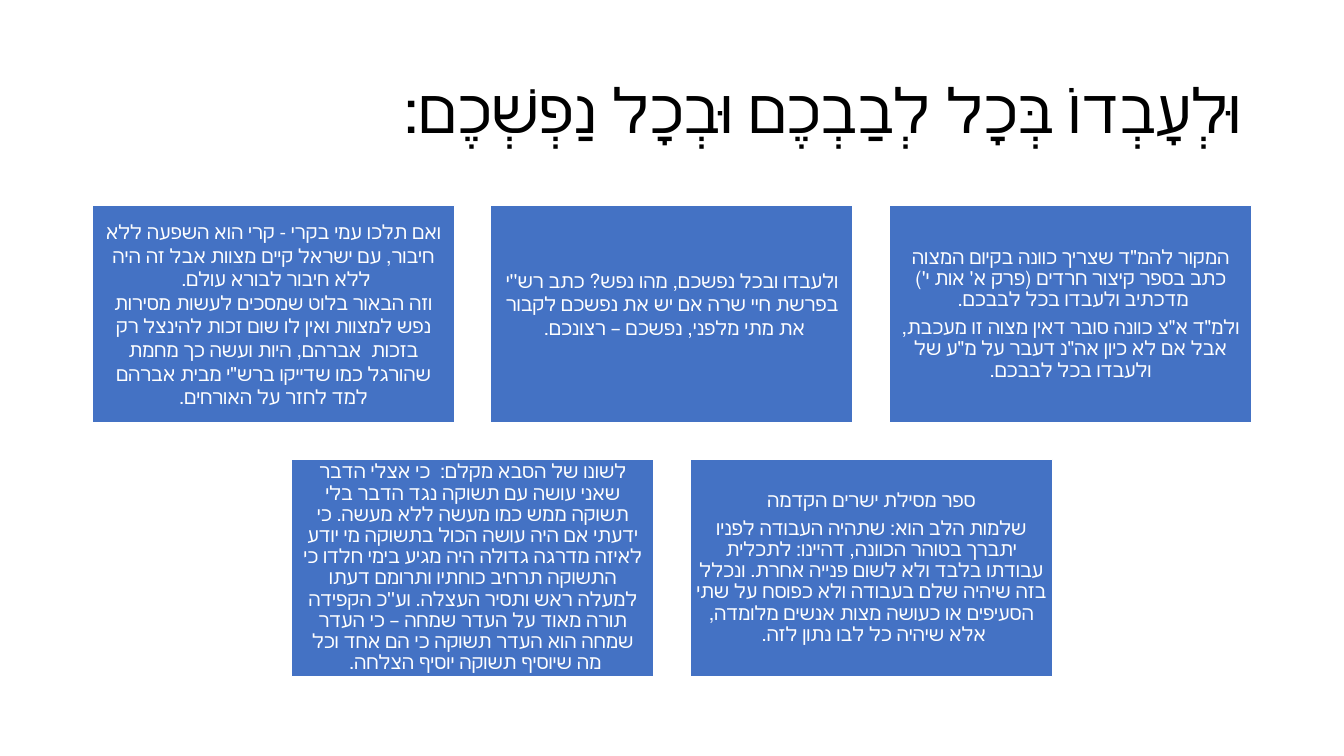
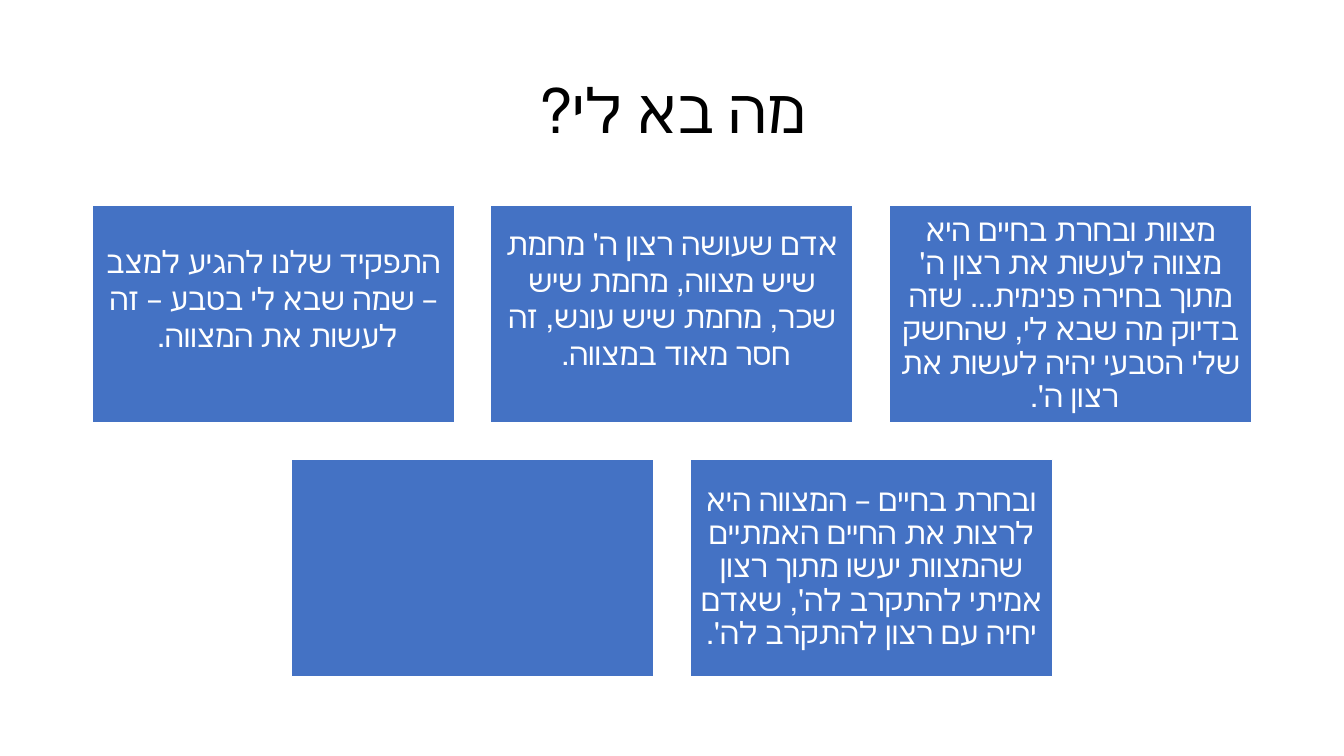
from dataclasses import dataclass

from pptx import Presentation
from pptx import util as u
from pptx.dml.color import RGBColor
from pptx.enum import shapes, text

# Shared look
COLORS = {"title": "000000", "card": "4472C4", "on_card": "FFFFFF"}
FONT = "Calibri"
TIGHT = 0.9
SLIDE_W, SLIDE_H = 13.33, 7.5

# Card grid: gaps are a tenth of a card's width
CONTENT_W = 11.5
MARGIN = (SLIDE_W - CONTENT_W) / 2
COLUMNS = 3
CARD_W = CONTENT_W / (COLUMNS + (COLUMNS - 1) * 0.1)
CARD_H = CARD_W * 0.6
GAP = CARD_W * 0.1
GRID_TOP = 2.04


@dataclass
class Card:
    paragraphs: tuple = ()
    tight: bool = True    # narrow lines, with space after each paragraph
    raised: bool = False  # text sits half a line above the middle


def rgb(name):
    return RGBColor.from_string(COLORS[name])


def format_hebrew(paragraph, size, color, align):
    paragraph.alignment = align
    paragraph._p.get_or_add_pPr().set("rtl", "1")
    for run in paragraph.runs:
        run.font.name = FONT
        run.font.size = u.Pt(size)
        run.font.color.rgb = rgb(color)


def add_title(slide, wording, align):
    title = slide.shapes.title
    title.left, title.top = u.Inches(MARGIN), u.Inches(0.4)
    title.width, title.height = u.Inches(CONTENT_W), u.Inches(1.45)
    frame = title.text_frame
    frame.text = wording
    frame.vertical_anchor = text.MSO_ANCHOR.MIDDLE
    paragraph = frame.paragraphs[0]
    paragraph.line_spacing = TIGHT
    format_hebrew(paragraph, 44, "title", align)


def add_card(slide, card, left, top, size, inset):
    box = slide.shapes.add_shape(
        shapes.MSO_SHAPE.RECTANGLE,
        *(u.Inches(length) for length in (left, top, CARD_W, CARD_H)))
    box.shadow.inherit = False
    box.fill.solid()
    box.fill.fore_color.rgb = rgb("card")
    box.line.color.rgb = rgb("on_card")
    box.line.width = u.Pt(1)
    if not card.paragraphs:
        return

    frame = box.text_frame
    frame.word_wrap = True
    frame.vertical_anchor = text.MSO_ANCHOR.MIDDLE
    frame.margin_left = frame.margin_right = frame.margin_top = u.Inches(inset)
    spare_line = size * 1.05 / 72 if card.raised else 0
    frame.margin_bottom = u.Inches(inset + spare_line)
    frame.text = "\n".join(card.paragraphs)
    for paragraph in frame.paragraphs:
        if card.tight:
            paragraph.line_spacing = TIGHT
            paragraph.space_after = u.Pt(size * 0.35)
        format_hebrew(paragraph, size, "on_card", text.PP_ALIGN.CENTER)


def add_cards(slide, cards, size, inset):
    """Fill rows from right to left; a short row is centred."""
    for start in range(0, len(cards), COLUMNS):
        row = cards[start:start + COLUMNS]
        row_w = len(row) * (CARD_W + GAP) - GAP
        right = MARGIN + (CONTENT_W + row_w) / 2
        top = GRID_TOP + start // COLUMNS * (CARD_H + GAP)
        for column, card in enumerate(row):
            left = right - CARD_W - column * (CARD_W + GAP)
            add_card(slide, card, left, top, size, inset)


# Content, in reading order
SERVICE_CARDS = [
    Card((
        "המקור להמ\"ד שצריך כוונה בקיום המצוה כתב בספר קיצור חרדים "
        "(פרק א' אות י') מדכתיב ולעבדו בכל לבבכם. ",
        "ולמ\"ד א\"צ כוונה סובר דאין מצוה זו מעכבת, אבל אם לא כיון אה\"נ "
        "דעבר על מ\"ע של ולעבדו בכל לבבכם.")),
    Card((
        "ולעבדו ובכל נפשכם, מהו נפש? כתב רש''י בפרשת חיי שרה אם יש את "
        "נפשכם לקבור את מתי מלפני, נפשכם – רצונכם. ",),
        tight=False, raised=True),
    Card((
        "ואם תלכו עמי בקרי - קרי הוא השפעה ללא חיבור, עם ישראל קיים מצוות "
        "אבל זה היה ללא חיבור לבורא עולם. ",
        "וזה הבאור בלוט שמסכים לעשות מסירות נפש למצוות ואין לו שום זכות "
        "להינצל רק בזכות  אברהם, היות ועשה כך מחמת שהורגל כמו שדייקו "
        "ברש\"י מבית אברהם למד לחזר על האורחים."),
        tight=False),
    Card((
        "ספר מסילת ישרים הקדמה",
        "שלמות הלב הוא: שתהיה העבודה לפניו יתברך בטוהר הכוונה, דהיינו: "
        "לתכלית עבודתו בלבד ולא לשום פנייה אחרת. ונכלל בזה שיהיה שלם "
        "בעבודה ולא כפוסח על שתי הסעיפים או כעושה מצות אנשים מלומדה, "
        "אלא שיהיה כל לבו נתון לזה. ")),
    Card((
        "לשונו של הסבא מקלם:  כי אצלי הדבר שאני עושה עם תשוקה נגד הדבר "
        "בלי תשוקה ממש כמו מעשה ללא מעשה. כי ידעתי אם היה עושה הכול "
        "בתשוקה מי יודע לאיזה מדרגה גדולה היה מגיע בימי חלדו כי התשוקה "
        "תרחיב כוחתיו ותרומם דעתו למעלה ראש ותסיר העצלה. וע''כ הקפידה "
        "תורה מאוד על העדר שמחה – כי העדר שמחה הוא העדר תשוקה כי הם אחד "
        "וכל מה שיוסיף תשוקה יוסיף הצלחה. ",)),
]

DESIRE_CARDS = [
    Card((
        "מצוות ובחרת בחיים היא מצווה לעשות את רצון ה' מתוך בחירה "
        "פנימית... שזה בדיוק מה שבא לי, שהחשק שלי הטבעי יהיה לעשות את "
        "רצון ה'. ",)),
    Card((
        "אדם שעושה רצון ה' מחמת שיש מצווה, מחמת שיש שכר, מחמת שיש עונש, "
        "זה חסר מאוד במצווה. ",),
        tight=False, raised=True),
    Card((
        "התפקיד שלנו להגיע למצב – שמה שבא לי בטבע – זה לעשות את המצווה. ",),
        tight=False, raised=True),
    Card((
        "ובחרת בחיים – המצווה היא לרצות את החיים האמתיים שהמצוות יעשו "
        "מתוך רצון אמיתי להתקרב לה', שאדם יחיה עם רצון להתקרב לה'.",)),
    Card(),
]


def main():
    deck = Presentation()
    deck.slide_width, deck.slide_height = u.Inches(SLIDE_W), u.Inches(SLIDE_H)
    title_only = deck.slide_layouts[5]

    # Serving with all the heart
    service = deck.slides.add_slide(title_only)
    add_title(service, "וּלְעָבְדוֹ בְּכָל לְבַבְכֶם וּבְכָל נַפְשְׁכֶם: ",
              text.PP_ALIGN.RIGHT)
    add_cards(service, SERVICE_CARDS, size=14, inset=0.06)

    # What do I feel like doing?
    desire = deck.slides.add_slide(title_only)
    add_title(desire, "מה בא לי?", text.PP_ALIGN.CENTER)
    add_cards(desire, DESIRE_CARDS, size=22, inset=0.09)

    deck.save("out.pptx")


if __name__ == "__main__":
    main()
